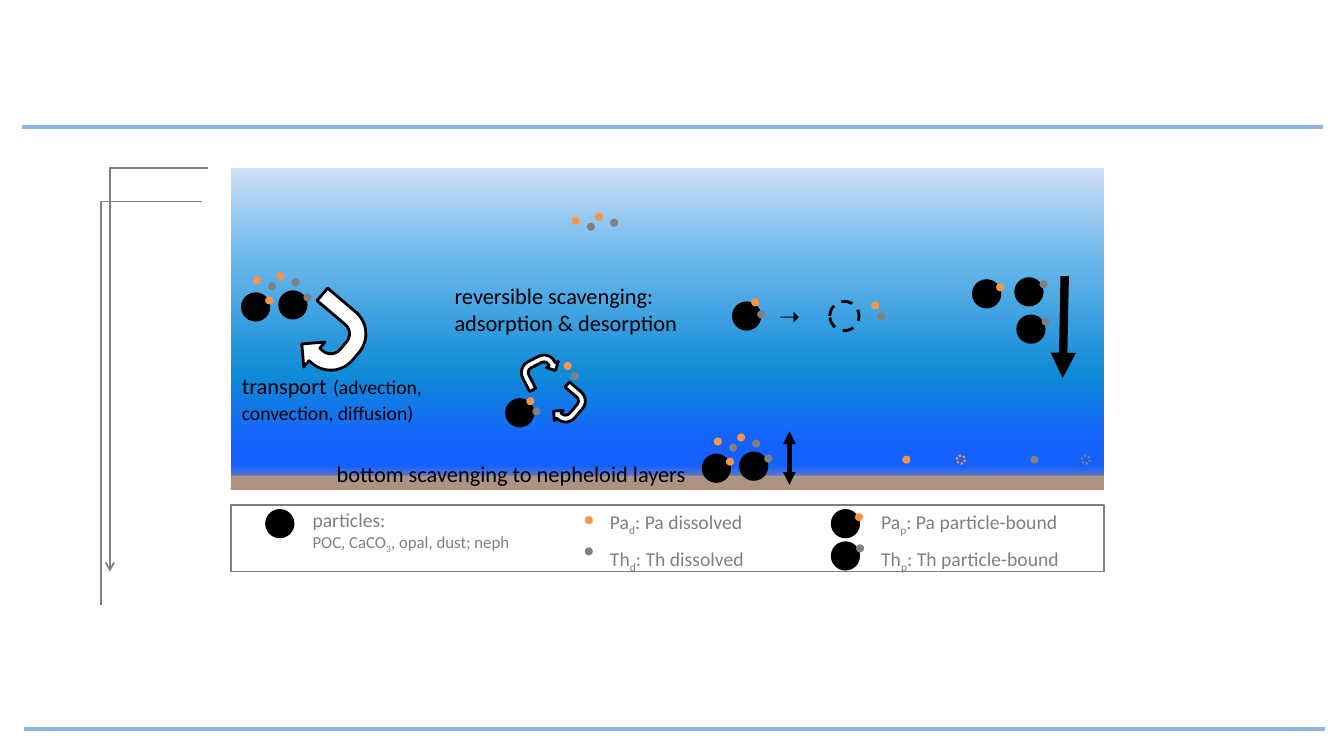
from lxml import etree
from pptx import Presentation
from pptx import util as u
from pptx.dml.color import RGBColor
from pptx.enum import dml, shapes, text
from pptx.oxml import parse_xml
from pptx.oxml.ns import nsdecls, qn

ORANGE, GREY, BLACK, WHITE = "F79646", "808080", "000000", "FFFFFF"
DOT, PARTICLE = 0.08, 0.29
SEA_LEFT, SEA_WIDTH = 2.29, 8.66


def color(value):
    return RGBColor.from_string(value)


def style(sp, fill=None, line=None, width=1, dash=None):
    sp.shadow.inherit = False
    if fill:
        sp.fill.solid()
        sp.fill.fore_color.rgb = color(fill)
    else:
        sp.fill.background()
    if line:
        sp.line.color.rgb = color(line)
        sp.line.width = u.Pt(width)
        if dash:
            sp.line.dash_style = dash
    else:
        sp.line.fill.background()


def add_shape(s, kind, x, y, w, h, rotation=0, **look):
    sp = s.shapes.add_shape(kind, *map(u.Inches, (x, y, w, h)))
    sp.rotation = rotation
    style(sp, **look)
    return sp


def add_rect(s, x, y, w, h, **look):
    return add_shape(s, shapes.MSO_SHAPE.RECTANGLE, x, y, w, h, **look)


def add_gradient(s, x, y, w, h, stops):
    sp = add_rect(s, x, y, w, h, fill=WHITE)
    stop_xml = "".join(
        f'<a:gs pos="{pos * 1000}"><a:srgbClr val="{value}"/></a:gs>' for pos, value in stops)
    fill = parse_xml(f'<a:gradFill {nsdecls("a")} rotWithShape="1"><a:gsLst>{stop_xml}</a:gsLst>'
                     '<a:lin ang="16200000" scaled="0"/></a:gradFill>')
    solid = sp._element.spPr.find(qn("a:solidFill"))
    solid.getparent().replace(solid, fill)


def add_circle(s, x, y, size, fill=None, **look):
    add_shape(s, shapes.MSO_SHAPE.OVAL, x, y, size, size, fill=fill, **look)


def add_dots(s, *dots):
    for x, y, fill in dots:
        add_circle(s, x, y, DOT, fill)


def add_particle(s, x, y, bound=None):
    add_circle(s, x, y, PARTICLE, BLACK)
    if bound:
        dx, dy = (0.24, 0.04) if bound == ORANGE else (0.25, 0.03)
        add_dots(s, (x + dx, y + dy, bound))


def add_dissolved(s, x, y):
    add_dots(s, (x, y, ORANGE), (x + 0.15, y + 0.06, GREY),
             (x + 0.23, y - 0.04, ORANGE), (x + 0.38, y + 0.02, GREY))


def add_cluster(s, x, y):
    add_dissolved(s, x + 0.12, y - 0.16)
    add_particle(s, x, y, ORANGE)
    add_particle(s, x + 0.37, y - 0.02, GREY)


def add_line(s, start, end, value, width, head=None, tail=None):
    cn = s.shapes.add_connector(shapes.MSO_CONNECTOR.STRAIGHT, *map(u.Inches, start + end))
    cn.line.color.rgb = color(value)
    cn.line.width = u.Pt(width)
    ln = cn.line._get_or_add_ln()
    for tag, kind in (("a:headEnd", head), ("a:tailEnd", tail)):
        if kind:
            etree.SubElement(ln, qn(tag)).set("type", kind)
    etree.SubElement(cn._element.spPr, qn("a:effectLst"))


def add_text(s, x, y, w, h, paragraphs, value=BLACK, inset=(0.1, 0.05), space=0):
    tf = s.shapes.add_textbox(*map(u.Inches, (x, y, w, h))).text_frame
    tf.word_wrap = True
    tf.vertical_anchor = text.MSO_ANCHOR.TOP
    tf.margin_left = tf.margin_right = u.Inches(inset[0])
    tf.margin_top = tf.margin_bottom = u.Inches(inset[1])
    for i, runs in enumerate(paragraphs):
        p = tf.add_paragraph() if i else tf.paragraphs[0]
        if i:
            p.space_before = u.Pt(space)
        for words, size, *subscript in runs:
            if words == "\n":
                p.add_line_break()
                continue
            r = p.add_run()
            r.text = words
            r.font.name = "Calibri"
            r.font.size = u.Pt(size)
            r.font.color.rgb = color(value)
            if subscript:
                r.font._element.set("baseline", "-25000")


def add_curve(s, start, segments, value, width):
    points, steps = [], 8
    x0, y0 = start
    for x1, y1, x2, y2, x3, y3 in segments:
        for i in range(1, steps + 1):
            t = i / steps
            weights = (1 - t) ** 3, 3 * t * (1 - t) ** 2, 3 * t * t * (1 - t), t ** 3
            points.append(tuple(sum(k * v for k, v in zip(weights, axis))
                                for axis in ((x0, x1, x2, x3), (y0, y1, y2, y3))))
        x0, y0 = x3, y3
    builder = s.shapes.build_freeform(*start, scale=u.Inches(1))
    builder.add_line_segments(points, close=False)
    style(builder.convert_to_shape(), line=value, width=width)


def add_turn_arrow(s, x, y, w, h, rotation):
    add_shape(s, shapes.MSO_SHAPE.U_TURN_ARROW, x, y, w, h, rotation,
              fill=WHITE, line=BLACK, width=2)


def add_ocean(s):
    add_gradient(s, SEA_LEFT, 1.67, SEA_WIDTH, 3.08,
                 [(11, "1561FE"), (34, "108BD7"), (74, "74BCED"), (100, "CFDEF5")])
    add_gradient(s, SEA_LEFT, 4.62, SEA_WIDTH, 0.1, [(0, "5A76C8"), (100, "1561FE")])
    add_rect(s, SEA_LEFT, 4.72, SEA_WIDTH, 0.14, fill="AE9282")


def add_depth_profile(s):
    add_line(s, (1.08, 1.67), (2.06, 1.67), GREY, 1.25)
    add_line(s, (1.09, 1.66), (1.09, 5.67), GREY, 1.25, tail="arrow")
    add_curve(s, (2.06, 1.88), [
        (1.98, 1.89, 1.9, 1.89, 1.82, 1.9),
        (1.73, 1.92, 1.63, 1.93, 1.57, 1.96),
        (1.5, 1.99, 1.47, 2.01, 1.43, 2.08),
        (1.4, 2.15, 1.37, 2.22, 1.35, 2.36),
        (1.33, 2.5, 1.33, 2.67, 1.32, 2.91),
        (1.31, 3.16, 1.3, 3.38, 1.29, 3.84),
        (1.29, 4.3, 1.28, 4.99, 1.28, 5.68)], GREY, 1.25)


def add_processes(s):
    add_text(s, 2.3, 3.59, 2.08, 0.67,
             [[("transport", 16), (" ", 20), ("(advection, convection, diffusion)", 14)]])
    add_cluster(s, 2.39, 2.9)
    add_turn_arrow(s, 2.88, 3.03, 0.75, 0.65, 130.3)

    add_dissolved(s, 5.67, 2.15)
    add_text(s, 4.41, 2.75, 2.46, 0.64,
             [[("reversible scavenging:", 16)], [("adsorption & desorption", 16)]])
    add_particle(s, 5.01, 3.95)
    add_turn_arrow(s, 5.43, 3.89, 0.39, 0.27, 130.3)
    add_turn_arrow(s, 5.17, 3.54, 0.39, 0.27, 332.6)
    add_dots(s, (5.22, 3.94, ORANGE), (5.28, 4.04, GREY),
             (5.59, 3.59, ORANGE), (5.66, 3.69, GREY))

    add_text(s, 3.24, 4.52, 3.92, 0.37, [[("bottom scavenging to nepheloid layers", 16)]])
    add_cluster(s, 6.96, 4.5)
    add_line(s, (7.83, 4.81), (7.83, 4.28), BLACK, 3, "triangle", "triangle")

    add_particle(s, 7.26, 2.99)
    add_text(s, 7.63, 2.93, 0.41, 0.4, [[("➝", 18)]])
    add_circle(s, 8.23, 2.99, PARTICLE, line=BLACK, width=2, dash=dml.MSO_LINE.DASH)
    add_dots(s, (7.45, 2.96, ORANGE), (7.51, 3.08, GREY),
             (8.64, 2.99, ORANGE), (8.7, 3.1, GREY))

    add_line(s, (10.56, 2.74), (10.54, 3.75), BLACK, 6, tail="triangle")
    for x, y, bound in ((9.64, 2.77, ORANGE), (10.06, 2.75, GREY), (10.08, 3.12, GREY)):
        add_particle(s, x, y, bound)

    for x, value in ((8.95, ORANGE), (10.22, GREY)):
        add_dots(s, (x, 4.52, value))
    for x, value in ((9.49, ORANGE), (10.73, GREY)):
        add_circle(s, x, 4.52, DOT, line=value, width=1.5, dash=dml.MSO_LINE.ROUND_DOT)


def add_legend(s):
    add_rect(s, SEA_LEFT, 5.01, SEA_WIDTH, 0.66, line=GREY, width=1.25)
    add_particle(s, 2.63, 5.05)
    add_text(s, 3.1, 5.04, 2.3, 0.5,
             [[("particles:", 14), ("\n", 14), ("POC, CaCO", 12), ("3", 12, True),
               (", opal, dust; neph", 12)]], GREY, (0, 0))
    for x, letter, meaning in ((6.05, "d", "dissolved"), (8.74, "p", "particle-bound")):
        add_text(s, x, 5.06, 2.1, 0.6,
                 [[(name, 14), (letter, 14, True), (f": {name} {meaning}", 14)]
                  for name in ("Pa", "Th")], GREY, (0, 0), 7)
    for y, value in ((5.12, ORANGE), (5.43, GREY)):
        add_dots(s, (5.8, y, value))
    for y, bound in ((5.05, ORANGE), (5.37, GREY)):
        add_particle(s, 8.24, y, bound)


def main():
    prs = Presentation()
    prs.slide_width, prs.slide_height = u.Inches(13.33), u.Inches(7.5)
    s = prs.slides.add_slide(prs.slide_layouts[6])
    for x, y in ((0.22, 1.26), (0.24, 7.23)):
        add_line(s, (x, y), (x + 12.9, y), "8EB4E3", 3)
    add_ocean(s)
    add_depth_profile(s)
    add_processes(s)
    add_legend(s)
    prs.save("out.pptx")


if __name__ == "__main__":
    main()
